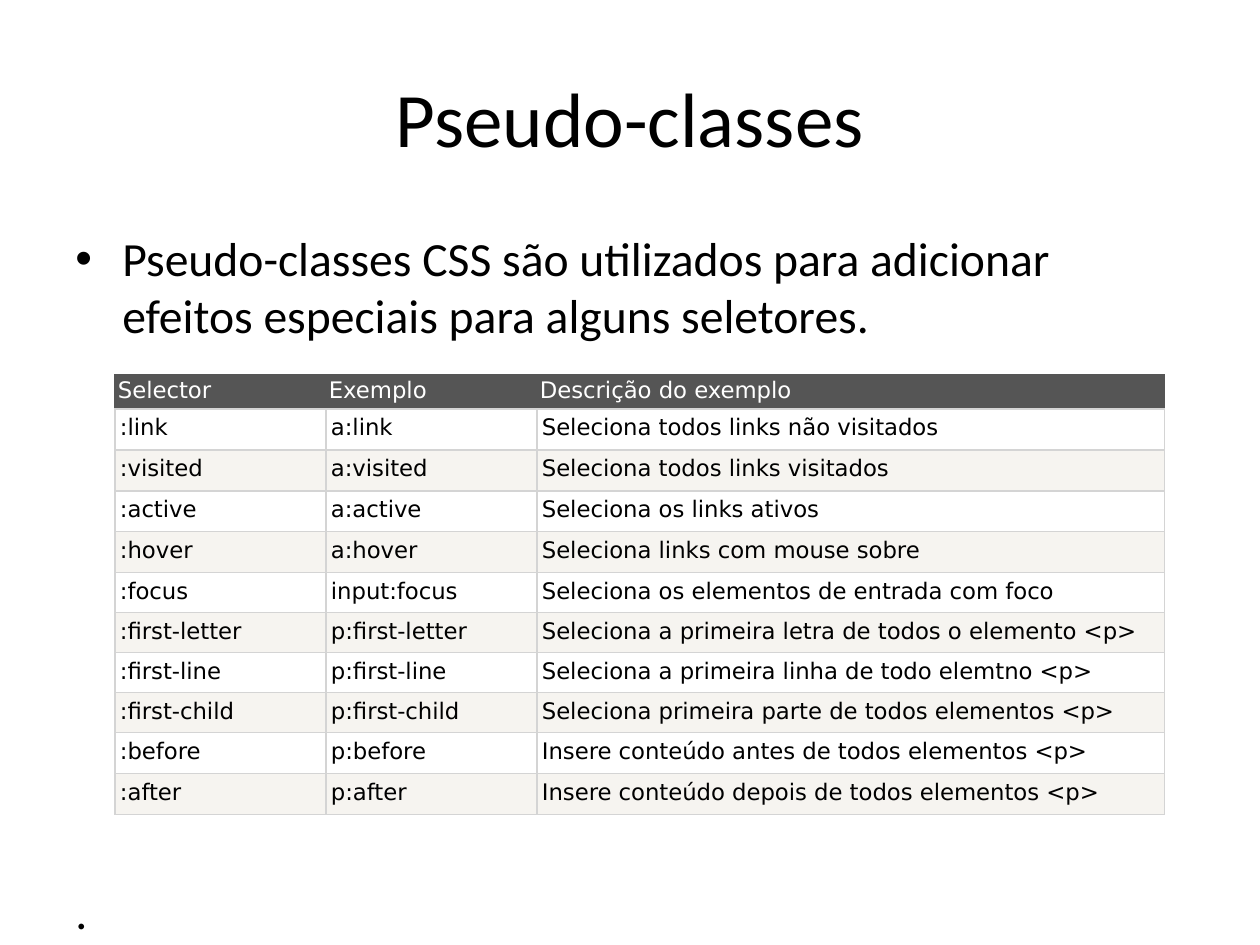
"""Build the slide on CSS pseudo-classes with its table of selectors."""
from lxml import etree
from pptx import Presentation
from pptx import util as u
from pptx.dml.color import RGBColor
from pptx.enum import text
from pptx.oxml import ns

PX = u.Inches(1) / 126
COLORS = {"ink": "000000", "white": "FFFFFF", "header": "555555", "band": "F6F4F0", "rule": "D4D4D4"}
ROWS = [
    ("Selector", "Exemplo", "Descrição do exemplo"),
    (":link", "a:link", "Seleciona todos links não visitados"),
    (":visited", "a:visited", "Seleciona todos links visitados"),
    (":active", "a:active", "Seleciona os links ativos"),
    (":hover", "a:hover", "Seleciona links com mouse sobre"),
    (":focus", "input:focus", "Seleciona os elementos de entrada com foco"),
    (":first-letter", "p:first-letter", "Seleciona a primeira letra de todos o elemento <p>"),
    (":first-line", "p:first-line", "Seleciona a primeira linha de todo elemtno <p>"),
    (":first-child", "p:first-child", "Seleciona primeira parte de todos elementos <p>"),
    (":before", "p:before", "Insere conteúdo antes de todos elementos <p>"),
    (":after", "p:after", "Insere conteúdo depois de todos elementos <p>"),
]
COLUMN_WIDTHS = [211, 211, 628]
ROW_HEIGHTS = [34] + [41] * 4 + [40] * 4 + [41] * 2


def px(length):
    """Turn whole px into EMU."""
    return u.Emu(round(length * PX))


class SlideBuilder:
    """Hold the style and the current slide."""

    def __init__(self, presentation, font="Calibri", table_font="DejaVu Sans"):
        self.font = font
        self.table_font = table_font
        self.slide = presentation.slides.add_slide(presentation.slide_layouts[5])

    def run(self, paragraph, words, size, font, color="ink"):
        """Add one formatted run."""
        run = paragraph.add_run()
        run.text = words
        run.font.size = u.Pt(size)
        run.font.name = font
        run.font.color.rgb = RGBColor.from_string(COLORS[color])

    def title(self, words, box):
        """Place and fill the title placeholder."""
        shape = self.slide.shapes.title
        shape.left, shape.top, shape.width, shape.height = map(px, box)
        shape.text_frame.vertical_anchor = text.MSO_ANCHOR.MIDDLE
        paragraph = shape.text_frame.paragraphs[0]
        paragraph.alignment = text.PP_ALIGN.CENTER
        self.run(paragraph, words, 44, self.font)

    def body(self, bullet, closing, gap, box):
        """Add a bulleted paragraph and a plain one below a gap in points."""
        frame = self.slide.shapes.add_textbox(*map(px, box)).text_frame
        frame.word_wrap = True
        frame.margin_top = px(9)
        paragraph = frame.paragraphs[0]
        properties = paragraph._p.get_or_add_pPr()
        properties.set("marL", str(px(47)))
        properties.set("indent", str(-px(47)))
        etree.SubElement(properties, ns.qn("a:buFont"), typeface="Arial")
        etree.SubElement(properties, ns.qn("a:buChar"), char="•")
        self.run(paragraph, bullet, 27.2, self.font)
        paragraph = frame.add_paragraph()
        paragraph.space_before = u.Pt(gap)
        self.run(paragraph, closing, 27.2, self.font)

    def borders(self, cell, side_color, bottom_color):
        """Draw the four borders of a cell."""
        properties = cell._tc.get_or_add_tcPr()
        for side in "LRTB":
            line = etree.SubElement(properties, ns.qn(f"a:ln{side}"), w=str(u.Pt(0.75)))
            fill = etree.SubElement(line, ns.qn("a:solidFill"))
            color = bottom_color if side == "B" else side_color
            etree.SubElement(fill, ns.qn("a:srgbClr"), val=COLORS[color])

    def cell(self, cell, words, row):
        """Fill and style one cell by its row number."""
        header = row == 0
        self.borders(cell, "header" if header else "rule", "rule")
        cell.fill.solid()
        fill = "header" if header else "white" if row % 2 else "band"
        cell.fill.fore_color.rgb = RGBColor.from_string(COLORS[fill])
        cell.margin_left = cell.margin_right = px(3 if header else 5)
        cell.margin_top = cell.margin_bottom = px(3 if header else 6)
        color = "white" if header else "ink"
        self.run(cell.text_frame.paragraphs[0], words, 13, self.table_font, color)

    def table(self, rows, left, top, widths, heights):
        """Add a banded table with a header row."""
        box = map(px, (left, top, sum(widths), sum(heights)))
        table = self.slide.shapes.add_table(len(rows), len(widths), *box).table
        table.first_row = table.horz_banding = False
        for column, width in zip(table.columns, widths):
            column.width = px(width)
        for index, (row, height) in enumerate(zip(table.rows, heights)):
            row.height = px(height)
            for cell, words in zip(row.cells, rows[index]):
                self.cell(cell, words, index)


def main():
    """Build and save the presentation."""
    presentation = Presentation()
    presentation.slide_width, presentation.slide_height = px(1260), px(945)
    builder = SlideBuilder(presentation)
    builder.title("Pseudo-classes", (63, 38, 1134, 158))
    sentence = "Pseudo-classes CSS são utilizados para adicionar efeitos especiais para alguns seletores."
    builder.body(sentence, ".", 308, (63, 220, 1134, 624))
    builder.table(ROWS, 115, 375, COLUMN_WIDTHS, ROW_HEIGHTS)
    presentation.save("out.pptx")


if __name__ == "__main__":
    main()
